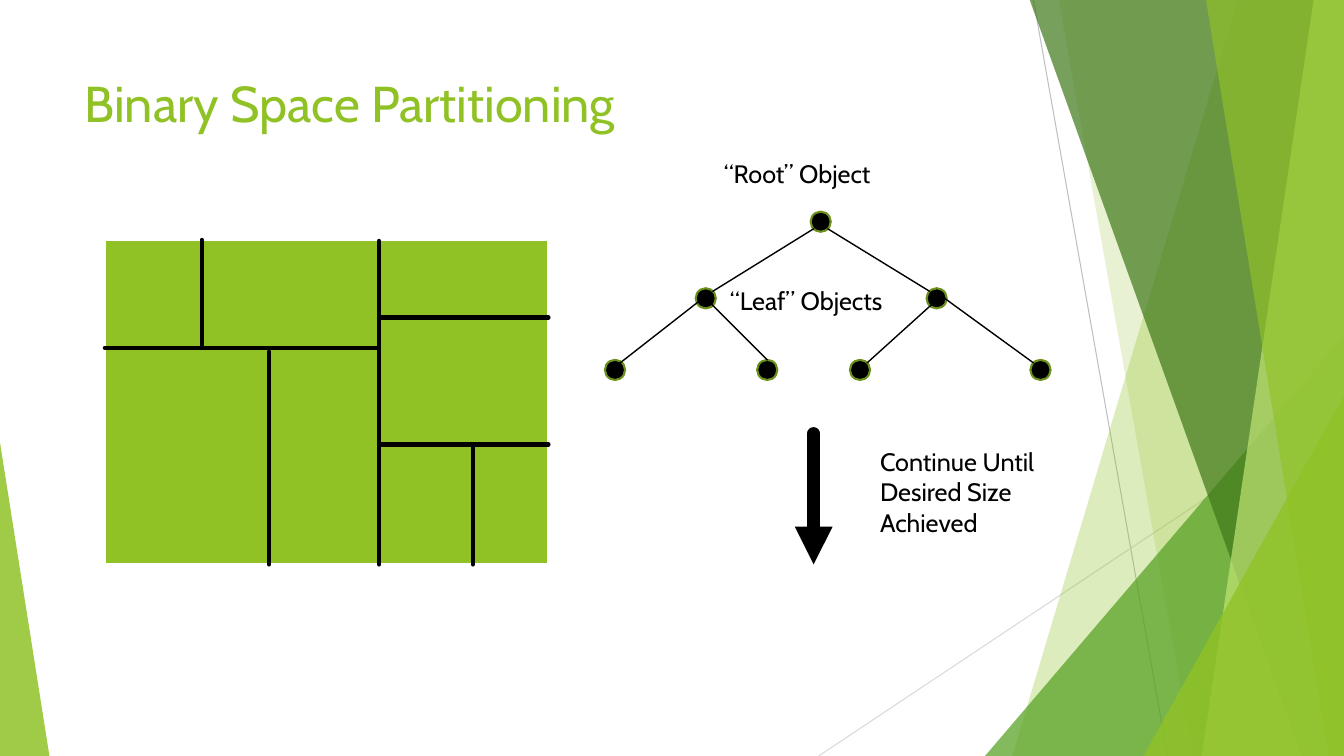
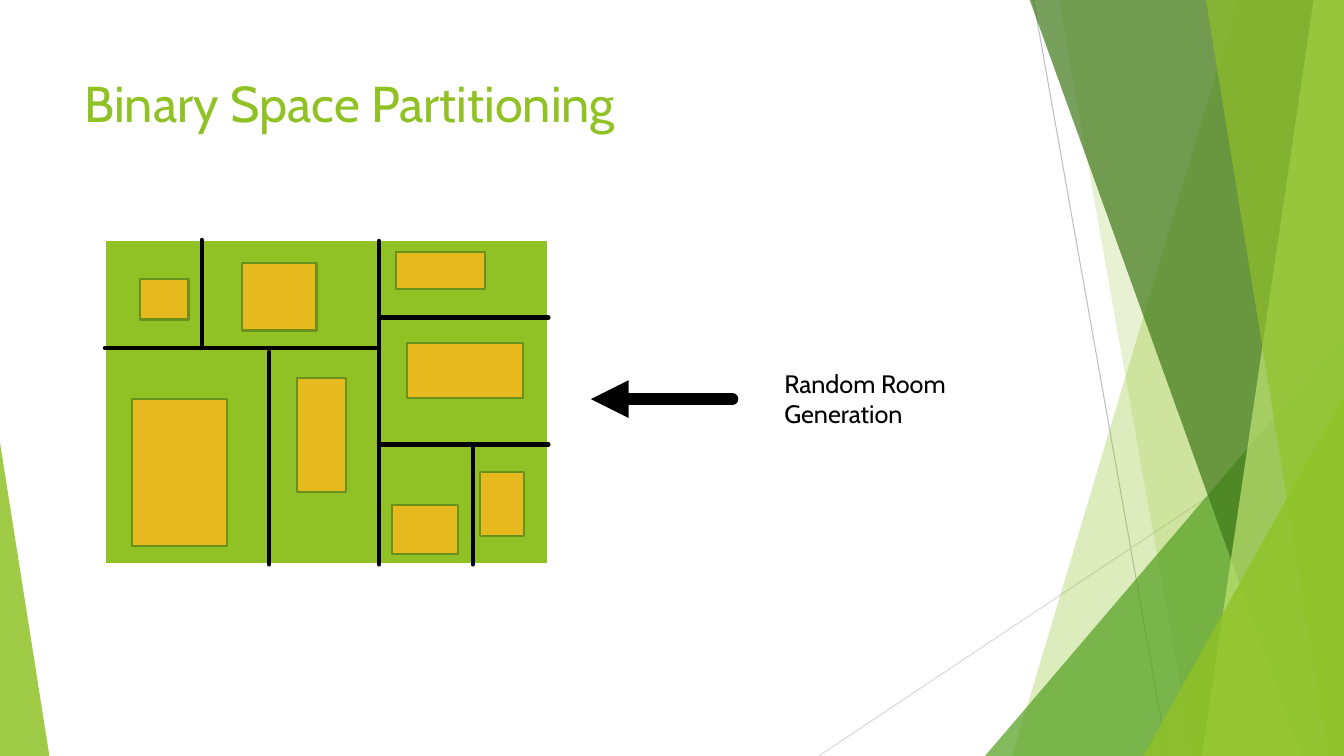
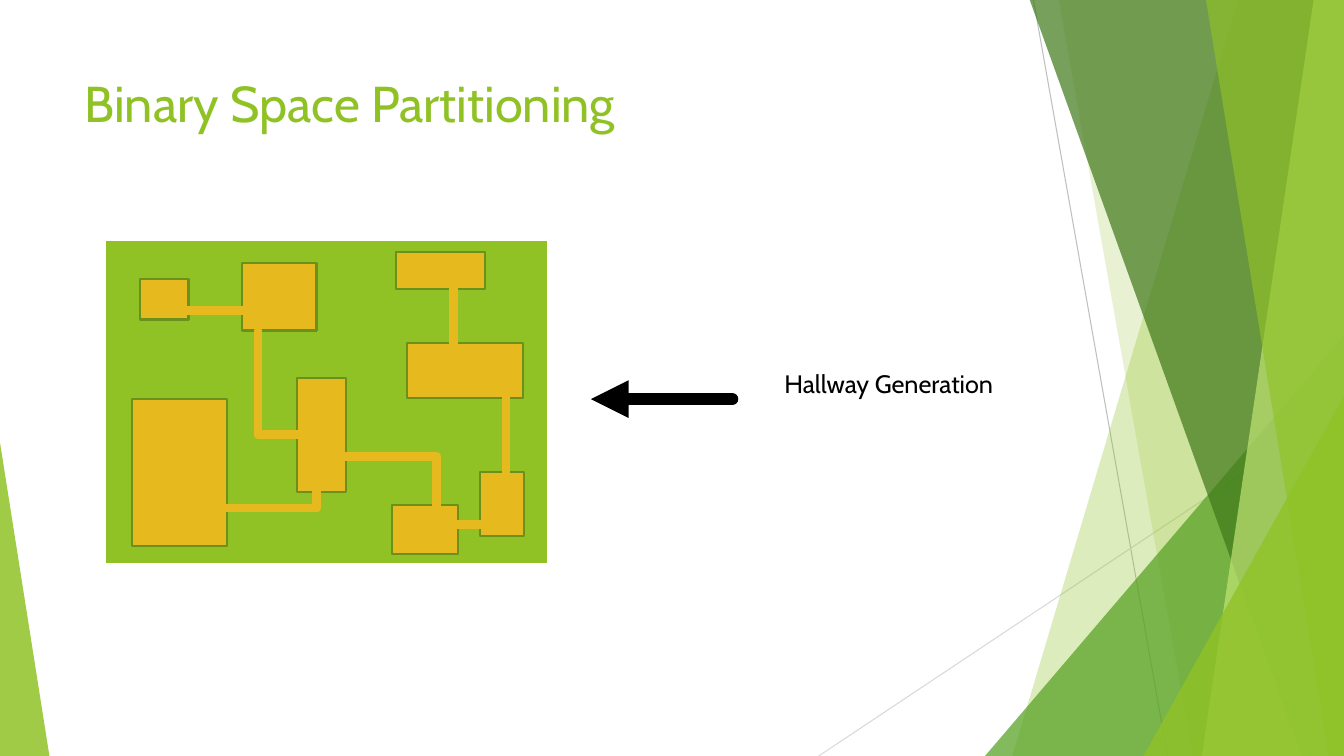
"""Build three slides that explain binary space partitioning."""
from dataclasses import dataclass

from lxml import etree
from pptx import Presentation
from pptx.dml.color import RGBColor as RGB
from pptx.enum.shapes import MSO_CONNECTOR as CONN, MSO_SHAPE as SHAPE
from pptx.enum.text import MSO_ANCHOR as ANCHOR, MSO_AUTO_SIZE as AUTOSIZE
from pptx.oxml.ns import qn
from pptx.util import Inches, Pt


@dataclass(frozen=True)
class Theme:
    green: str = "90C226"
    leaf: str = "54A021"
    forest: str = "3F7819"
    lime: str = "C0E474"
    edge: str = "6B901C"
    gold: str = "E6B91E"
    black: str = "000000"
    white: str = "FFFFFF"
    grey: str = "BFBFBF"
    pale: str = "D9D9D9"
    font: str = "Cabin"
    title_size: int = 36
    label_size: int = 18
    hairline: float = 0.75
    branch: float = 1
    outline: float = 1.5
    border: float = 2
    wall: float = 3
    hall: float = 6.25
    arrow: float = 9


T = Theme()
W, H, TOP = 13.33, 7.5, -0.01
NODE = 0.2
TITLE = "Binary Space Partitioning"
TITLE_BOX = (0.74, 0.67, 9.4, 1.44)
MAP_BOX = (1.04, 2.38, 4.4, 3.22)
CAPTION_BOX = (7.68, 3.6, 2.31, 0.71)
LEFT_ARROW = (7.26, 3.96, 5.86, 3.96)
DOWN_ARROW = (8.07, 4.3, 8.07, 5.6)

RAYS = [((10.25, 0, 11.58, H), T.grey), ((W, 4.03, 8.12, H), T.pale)]
BANDS = [
    ("slab", (12.28, 10.04), T.green, 30),
    ("slab", (10.5, 11.83), T.green, 20),
    ("wedge", (9.77, 3.33, W, 1), T.leaf, 72),
    ("slab", (10.21, 12.91), T.forest, 70),
    ("slab", (13.03, 11.92), T.lime, 70),
    ("slab", (11.96, 13.18), T.green, 65),
    ("wedge", (11.34, 3.93, W, 1), T.green, 80),
    ("wedge", (0, 4.39, 0.49, 0), T.green, 85),
]
WALLS = [
    (3.76, 2.39, 3.76, 5.6), (1.04, 3.45, 3.76, 3.45),
    (3.76, 4.41, 5.44, 4.41), (2.67, 3.49, 2.67, 5.6),
    (4.69, 4.41, 4.69, 5.6), (3.76, 3.15, 5.44, 3.15),
    (2, 2.38, 2, 3.43),
]
ROOMS = [
    (1.31, 3.96, 0.94, 1.46), (2.95, 3.75, 0.48, 1.13),
    (3.89, 5.01, 0.65, 0.49), (4.76, 4.68, 0.44, 0.64),
    (4.04, 3.4, 1.15, 0.55), (3.93, 2.5, 0.88, 0.37),
    (2.4, 2.61, 0.74, 0.67), (1.39, 2.77, 0.48, 0.4),
]
HALLS = [
    (5.02, 5.2, 4.38, 5.2), (3.14, 5.04, 1.76, 5.04),
    (3.14, 4.76, 3.14, 5.04), (4.5, 3.75, 4.5, 2.78),
    (1.76, 3.08, 2.53, 3.08), (2.56, 4.31, 3.33, 4.31),
    (2.56, 4.31, 2.56, 3.28), (5.02, 4.76, 5.02, 3.79),
    (4.33, 4.53, 3.14, 4.53), (4.33, 5.2, 4.33, 4.53),
]
NODES = [
    (8.14, 2.2), (7, 2.96), (9.29, 2.96),
    (6.1, 3.67), (7.61, 3.67), (8.53, 3.67), (10.32, 3.67),
]
BRANCHES = [
    (8.07, 2.27, 7.07, 2.89), (8.21, 2.27, 9.22, 2.89),
    (6.97, 2.96, 6.1, 3.64), (6.98, 2.94, 7.61, 3.57),
    (9.32, 2.95, 8.6, 3.6), (9.37, 2.96, 10.25, 3.6),
]
TREE_LABELS = [
    ("“Root” Object", (7.08, 1.52, 2.31, 0.4)),
    ("“Leaf” Objects", (7.14, 2.78, 2.31, 0.4)),
    ("Continue Until Desired Size Achieved", (8.63, 4.38, 2.31, 1.01)),
]
SLIDES = [
    dict(labels=TREE_LABELS, arrow=DOWN_ARROW, walls=WALLS, rooms=[],
         halls=[], nodes=NODES, branches=BRANCHES),
    dict(labels=[("Random Room Generation", CAPTION_BOX)], arrow=LEFT_ARROW,
         walls=WALLS, rooms=ROOMS, halls=[], nodes=[], branches=[]),
    dict(labels=[("Hallway Generation", CAPTION_BOX)], arrow=LEFT_ARROW,
         walls=[], rooms=ROOMS, halls=HALLS, nodes=[], branches=[]),
]


def paint(sp, fill, line=None, width=0, opacity=100):
    sp.shadow.inherit = False
    sp.fill.solid()
    sp.fill.fore_color.rgb = RGB.from_string(fill)
    if opacity < 100:
        clr = sp.fill._xPr.find(qn("a:solidFill"))[0]
        etree.SubElement(clr, qn("a:alpha")).set("val", str(opacity * 1000))
    if line:
        sp.line.color.rgb = RGB.from_string(line)
        sp.line.width = Pt(width)
    else:
        sp.line.fill.background()


def add_line(s, ends, color, width, cap="rnd", arrow=False):
    cn = s.shapes.add_connector(CONN.STRAIGHT, *map(Inches, ends))
    cn.line.color.rgb = RGB.from_string(color)
    cn.line.width = Pt(width)
    ln = cn.line._get_or_add_ln()
    ln.set("cap", cap)
    if arrow:
        etree.SubElement(ln, qn("a:tailEnd")).set("type", "triangle")
    etree.SubElement(cn._element.spPr, qn("a:effectLst"))


prs = Presentation()
prs.slide_width, prs.slide_height = Inches(W), Inches(H)

for content in SLIDES:
    s = prs.slides.add_slide(prs.slide_layouts[6])

    for ends, color in RAYS:
        add_line(s, ends, color, T.hairline, cap="flat")
    for kind, geometry, color, opacity in BANDS:
        if kind == "slab":
            top_x, bottom_x = geometry
            corners = [(W, TOP), (W, H), (bottom_x, H)]
            fb = s.shapes.build_freeform(Inches(top_x), Inches(TOP))
            fb.add_line_segments([(Inches(x), Inches(y)) for x, y in corners])
            sp = fb.convert_to_shape()
        else:
            left, top, right, tip = geometry
            box = (left, top, right - left, H - top)
            sp = s.shapes.add_shape(SHAPE.ISOSCELES_TRIANGLE, *map(Inches, box))
            sp.adjustments[0] = tip
        paint(sp, color, opacity=opacity)

    sp = s.shapes.add_shape(SHAPE.RECTANGLE, *map(Inches, MAP_BOX))
    paint(sp, T.green, T.white, T.border)
    for ends in content["walls"]:
        add_line(s, ends, T.black, T.wall)
    for box in content["rooms"]:
        sp = s.shapes.add_shape(SHAPE.RECTANGLE, *map(Inches, box))
        paint(sp, T.gold, T.edge, T.outline)
    for ends in content["halls"]:
        add_line(s, ends, T.gold, T.hall)

    for x, y in content["nodes"]:
        box = (x - NODE / 2, y - NODE / 2, NODE, NODE)
        sp = s.shapes.add_shape(SHAPE.OVAL, *map(Inches, box))
        paint(sp, T.black, T.edge, T.outline)
    for ends in content["branches"]:
        add_line(s, ends, T.black, T.branch)
    add_line(s, content["arrow"], T.black, T.arrow, arrow=True)

    texts = [(TITLE, TITLE_BOX, T.title_size, T.green, AUTOSIZE.NONE)]
    texts += [(text, box, T.label_size, T.black, AUTOSIZE.SHAPE_TO_FIT_TEXT)
              for text, box in content["labels"]]
    for text, box, size, color, fit in texts:
        tf = s.shapes.add_textbox(*map(Inches, box)).text_frame
        tf.word_wrap = True
        tf.auto_size = fit
        tf.vertical_anchor = ANCHOR.TOP
        r = tf.paragraphs[0].add_run()
        r.text = text
        r.font.name = T.font
        r.font.size = Pt(size)
        r.font.color.rgb = RGB.from_string(color)

prs.save("out.pptx")
